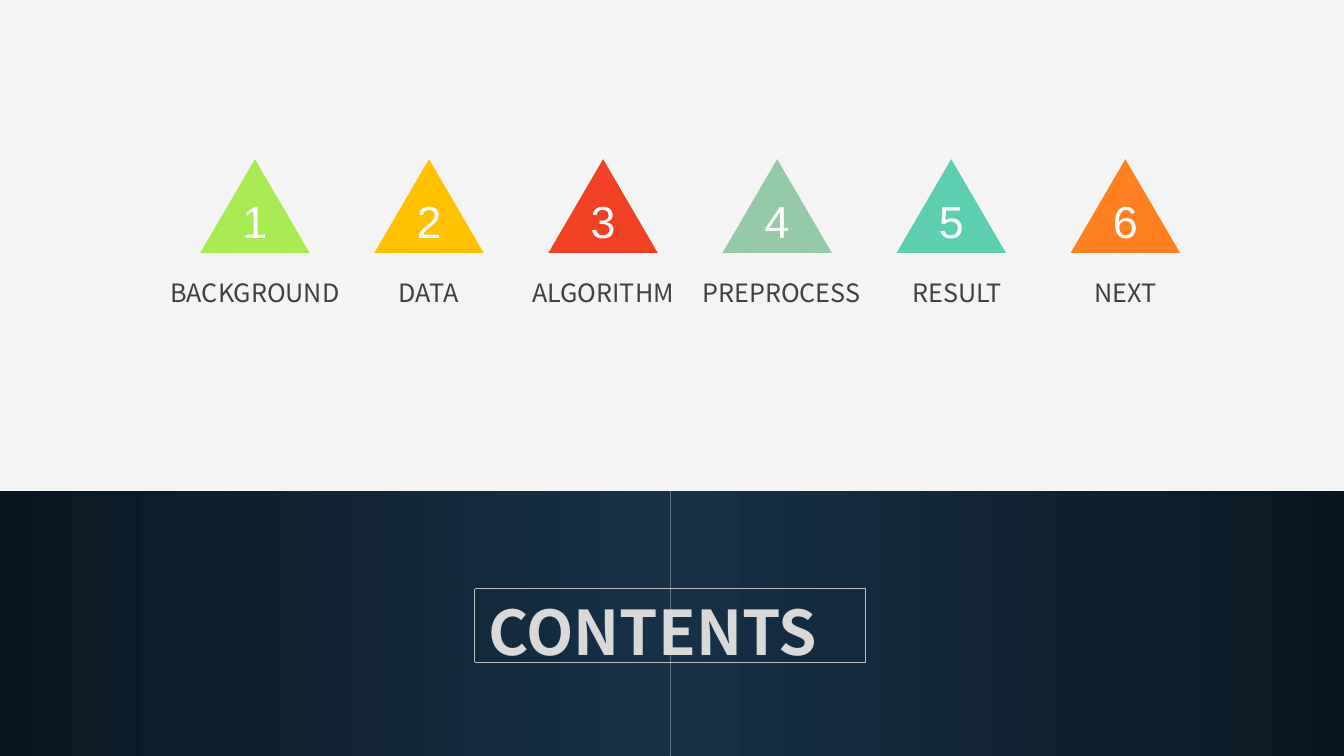
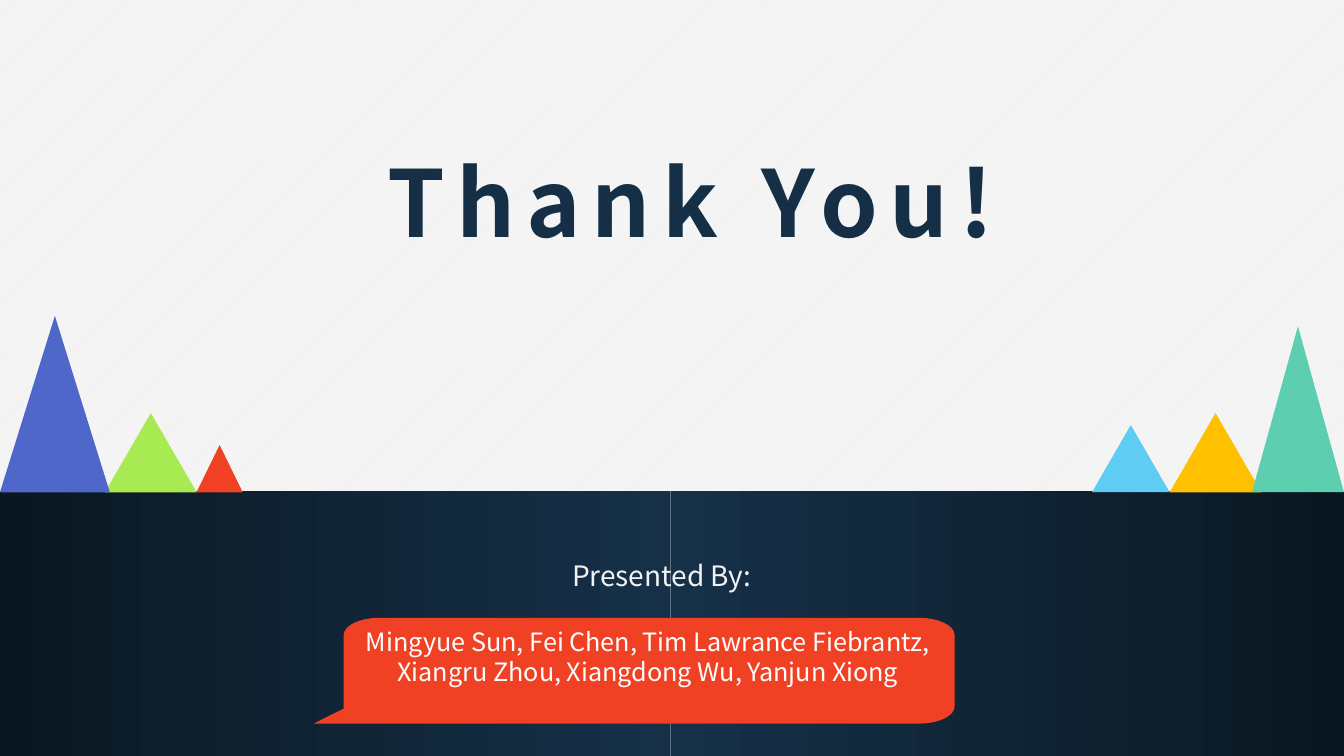
"""Build a contents slide and a closing slide on a 64 by 36 grid."""
from itertools import pairwise
from math import cos, pi, sin

from lxml.etree import SubElement as Sub
from pptx import Presentation
from pptx.dml.color import RGBColor as RGB
from pptx.enum.dml import MSO_PATTERN as PAT
from pptx.enum.shapes import MSO_CONNECTOR as CON, MSO_SHAPE as GEO
from pptx.enum.text import PP_ALIGN as AL
from pptx.oxml.ns import qn
from pptx.util import Inches, Pt

CELL = Inches(7.5) / 36
SANS = "Noto Sans CJK SC"
LIME, GOLD, RED, TEAL = "A7EA52", "FFC000", "F14124", "5DCEAF"
SAGE, AMBER, BLUE, SKY = "94CAA8", "FF8021", "4E67C8", "5ECCF3"
WHITE, PALE, NAVY, NIGHT = "FFFFFF", "F2F2F2", "163048", "0A1721"
BASE, MID = 23.4, 31.92


def tint(code):
    return RGB.from_string(code)


def grid(*cells):
    return [round(c * CELL) for c in cells]


class Deck:
    def __init__(self):
        self.prs = Presentation()
        self.prs.slide_width, self.prs.slide_height = grid(64, 36)

    def page(self):
        self.slide = self.prs.slides.add_slide(self.prs.slide_layouts[6])
        self.items = self.slide.shapes
        back = self.slide.background.fill
        back.patterned()
        back.pattern = PAT.LIGHT_UPWARD_DIAGONAL
        back.fore_color.rgb = tint(WHITE)
        back.back_color.rgb = tint(PALE)
        self.band(0, MID, NIGHT, NAVY)
        self.band(MID, 64, NAVY, NIGHT)

    def plain(self, shape):
        shape.shadow.inherit = False
        shape.line.fill.background()
        return shape.fill

    def flat(self, shape, code):
        fill = self.plain(shape)
        fill.solid()
        fill.fore_color.rgb = tint(code)

    def band(self, left, right, first, last):
        box = grid(left, BASE, right - left, 36 - BASE)
        fill = self.plain(self.items.add_shape(GEO.RECTANGLE, *box))
        fill.gradient()
        fill.gradient_angle = 0
        for stop, code in zip(fill.gradient_stops, (first, last)):
            stop.color.rgb = tint(code)

    def peak(self, left, top, wide, high, code):
        box = grid(left, top, wide, high)
        self.flat(self.items.add_shape(GEO.ISOSCELES_TRIANGLE, *box), code)

    def text(self, words, mid, top, wide, high, size, code,
             face=SANS, bold=False, gap=0, lead=None):
        box = self.items.add_textbox(*grid(mid - wide / 2, top, wide, high))
        frame = box.text_frame
        frame.word_wrap = True
        frame.text = words
        para = frame.paragraphs[0]
        para.alignment = AL.CENTER
        if lead:
            para.line_spacing = lead
        font = para.runs[0].font
        font.name, font.size, font.bold = face, Pt(size), bold
        font.color.rgb = tint(code)
        if gap:
            para.runs[0]._r.get_or_add_rPr().set("spc", str(gap * 100))

    def frame(self, left, top, right, base, code):
        ring = [(left, top), (right, top), (right, base), (left, base), (left, top)]
        for start, end in pairwise(ring):
            rule = self.items.add_connector(CON.STRAIGHT, *grid(*start, *end))
            rule.line.color.rgb = tint(code)
            rule.line.width = Pt(1)
            Sub(rule._element.spPr, qn("a:effectLst"))

    def bubble(self, left, top, right, base, code):
        wide, high, steps = 1.69, 0.82, 8
        ends = [(left + wide, top + high, pi),
                (right - wide, top + high, 1.5 * pi),
                (right - wide, base - high, 0)]
        dots = [grid(x + wide * cos(turn + pi / 2 * i / steps),
                     y + high * sin(turn + pi / 2 * i / steps))
                for x, y, turn in ends for i in range(steps + 1)]
        dots += [grid(left - 1.44, base), grid(left, base - 0.72)]
        pen = self.items.build_freeform(*dots[0])
        pen.add_line_segments(dots[1:], close=True)
        self.flat(pen.convert_to_shape(), code)


deck = Deck()

deck.page()
parts = [("BACKGROUND", LIME, 0), ("DATA", GOLD, 0), ("ALGORITHM", RED, 0),
         ("PREPROCESS", SAGE, 0.2), ("RESULT", TEAL, 0.29), ("NEXT", AMBER, 0)]
for i, (name, code, shift) in enumerate(parts):
    mid = 12.14 + 8.29 * i
    deck.peak(mid - 2.6, 7.58, 5.2, 4.46, code)
    deck.text(str(i + 1), mid, 8.98, 3, 3.07, 32, WHITE, face="Arial")
    deck.text(name, mid + shift, 12.96, 9.6, 1.92, 18, "404040")
deck.text("CONTENTS", 31.1, 28.03, 19.2, 4.03, 44, "D9D9D9", bold=True)
deck.frame(22.6, 28.03, 41.23, 31.54, "BFBFBF")

deck.page()
deck.text("Thank You!", 32.9, 6.67, 30.2, 5.8, 66, "152F47", bold=True, gap=8)
deck.text("Presented By:", 31.51, 25.58, 16, 2.64, 20, PALE, lead=1.5)
peaks = [(5, 4.37, 3.77, LIME), (52, 3.7, 3.2, SKY), (0, 5.23, 8.4, BLUE),
         (9.36, 2.2, 2.25, RED), (55.7, 4.37, 3.77, GOLD), (59.62, 4.38, 7.9, TEAL)]
for left, wide, high, code in peaks:
    deck.peak(left, BASE + 0.04 - high, wide, high, code)
deck.bubble(16.37, 29.42, 45.46, 34.46, RED)
deck.text("Mingyue Sun, Fei Chen, Tim Lawrance Fiebrantz, "
          "Xiangru Zhou, Xiangdong Wu, Yanjun Xiong",
          30.86, 29.57, 29.28, 4.7, 18, WHITE)

deck.prs.save("out.pptx")
